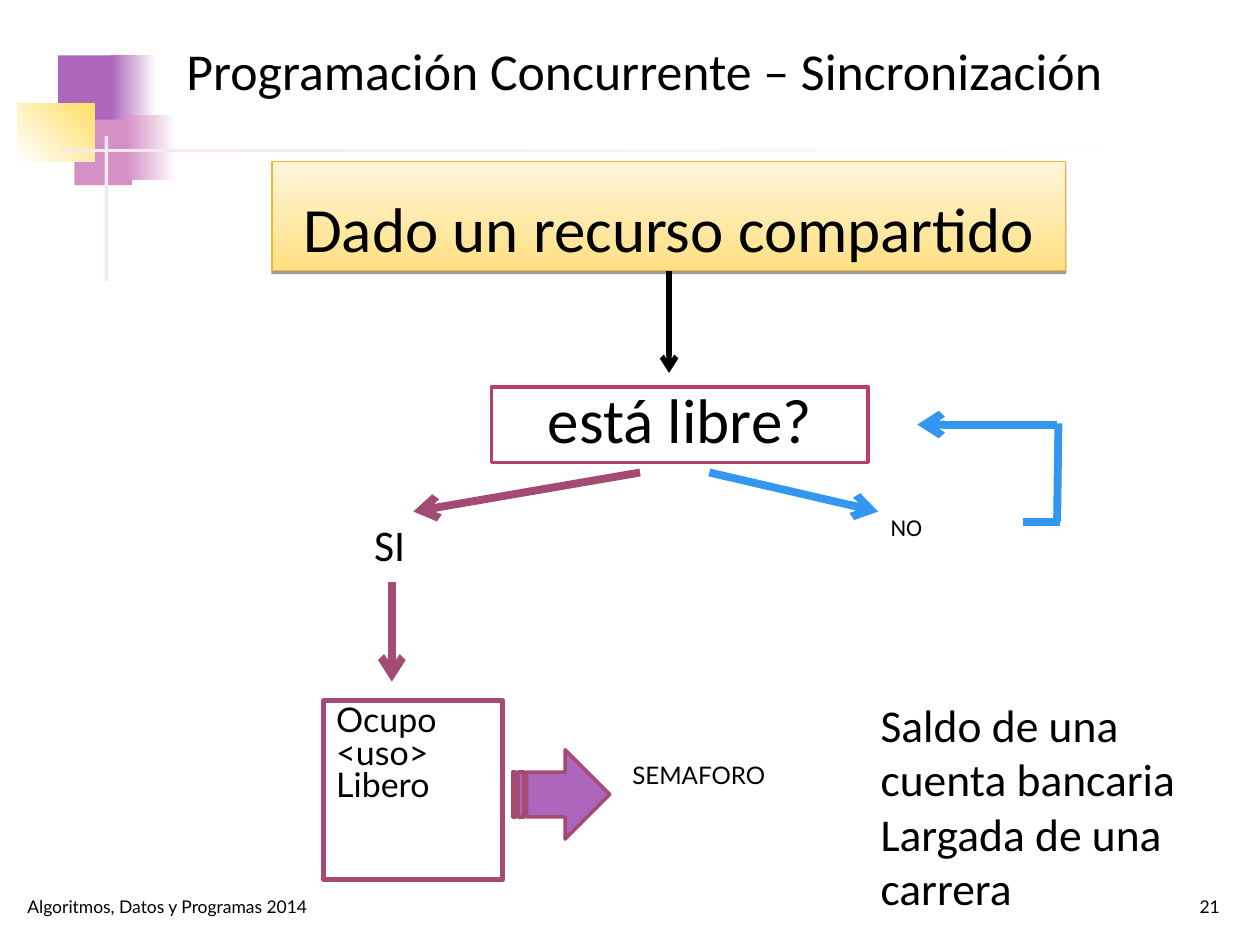
from lxml import etree
from pptx import Presentation
from pptx.dml.color import RGBColor
from pptx.enum.shapes import MSO_CONNECTOR, MSO_SHAPE
from pptx.enum.text import MSO_ANCHOR, PP_ALIGN
from pptx.oxml.ns import qn
from pptx.util import Pt

PX = 9144  # 100 px to the inch

RECTANGLE = MSO_SHAPE.RECTANGLE
STRIPED_ARROW = MSO_SHAPE.STRIPED_RIGHT_ARROW
STRAIGHT = MSO_CONNECTOR.STRAIGHT
TOP, BOTTOM = MSO_ANCHOR.TOP, MSO_ANCHOR.BOTTOM
LEFT, CENTER, RIGHT = PP_ALIGN.LEFT, PP_ALIGN.CENTER, PP_ALIGN.RIGHT

BLACK = RGBColor(0x00, 0x00, 0x00)
WHITE = RGBColor(0xFF, 0xFF, 0xFF)
PURPLE = RGBColor(0xAC, 0x66, 0xBB)
PINK = RGBColor(0xD4, 0x90, 0xC5)
YELLOW = RGBColor(0xFF, 0xDE, 0x66)
PALE_PINK = RGBColor(0xF4, 0xE7, 0xED)
PLUM = RGBColor(0xA3, 0x4B, 0x73)
CRIMSON = RGBColor(0xB8, 0x3D, 0x68)
BLUE = RGBColor(0x33, 0x97, 0xF1)
GOLD = RGBColor(0xFF, 0xE0, 0x82)
CREAM = RGBColor(0xFF, 0xF5, 0xDA)
ORANGE = RGBColor(0xF8, 0xB3, 0x33)

prs = Presentation()
prs.slide_width, prs.slide_height = 1000 * PX, 750 * PX
slide = prs.slides.add_slide(prs.slide_layouts[5])
shapes = slide.shapes


def add_block(box, fill=None, line=None, width=1, angle=0, kind=RECTANGLE):
    """Add a preset shape; a pair of colours as fill makes a gradient."""
    block = shapes.add_shape(kind, *(n * PX for n in box))
    block.shadow.inherit = False
    if fill is None:
        block.fill.background()
    elif isinstance(fill, RGBColor):
        block.fill.solid()
        block.fill.fore_color.rgb = fill
    else:
        block.fill.gradient()
        block.fill.gradient_angle = angle
        for stop, color in zip(block.fill.gradient_stops, fill):
            stop.color.rgb = color
    if line is None:
        block.line.fill.background()
    else:
        block.line.color.rgb = line
        block.line.width = Pt(width)
    return block


def write(holder, text, size, font="Calibri", align=LEFT, anchor=TOP, spacing=1.0):
    frame = holder.text_frame
    frame.word_wrap = True
    frame.vertical_anchor = anchor
    frame.margin_left = frame.margin_right = 10 * PX
    frame.margin_top = frame.margin_bottom = 5 * PX
    frame.text = text
    for paragraph in frame.paragraphs:
        paragraph.alignment = align
        paragraph.line_spacing = spacing
        paragraph.font.size = Pt(size)
        paragraph.font.name = font
        paragraph.font.color.rgb = BLACK


# Corner decoration
for box, fill, angle in [
    ((46, 44, 48, 52), PURPLE, 0),
    ((88, 44, 36, 52), (PURPLE, WHITE), 0),
    ((59, 95, 46, 52), PINK, 0),
    ((100, 91, 40, 52), (PINK, WHITE), 0),
    ((14, 82, 61, 46), (WHITE, YELLOW), 45),
    ((83, 108, 3, 115), PALE_PINK, 0),
    ((48, 118, 900, 3), (PALE_PINK, WHITE), 0),
]:
    add_block(box, fill, angle=angle)

# Title, raised one line above the bottom of its box
title = shapes.title
title.left, title.top, title.width, title.height = (n * PX for n in (138, 16, 862, 115))
write(title, "Programación Concurrente – Sincronización", 29.6, anchor=BOTTOM, spacing=0.9)
title.text_frame.margin_bottom = 50 * PX

# Flow steps
resource = add_block((216, 128, 630, 87), (GOLD, CREAM), ORANGE, 0.75, angle=90)
write(resource, "Dado un recurso compartido", 36, align=CENTER, anchor=BOTTOM)
effects = resource._element.spPr.find(qn("a:effectLst"))
shadow = etree.SubElement(effects, qn("a:outerShdw"), dist=str(Pt(1.6)), dir="5400000", rotWithShape="0")
shadow_color = etree.SubElement(shadow, qn("a:srgbClr"), val="000000")
etree.SubElement(shadow_color, qn("a:alpha"), val="38000")

question = add_block((390, 307, 299, 60), WHITE, CRIMSON, 2)
write(question, "está libre?", 36, align=CENTER, anchor=BOTTOM)

usage = add_block((257, 556, 142, 142), line=PLUM, width=3)
write(usage, "Ocupo\n<uso>\nLibero", 19.4, font="Lato", spacing=0.8)

add_block((407, 595, 77, 71), PURPLE, PLUM, 2, kind=STRIPED_ARROW)

# Labels, example and footer
for box, text, size, style in [
    ((697, 406, 81, 60), "NO", 13.8, {"spacing": 0.8}),
    ((287, 406, 81, 60), "SI", 25, {}),
    ((492, 603, 197, 63), "SEMAFORO", 13.8, {"font": "Lato", "spacing": 0.8}),
    ((689, 548, 311, 184), "Saldo de una cuenta bancaria\nLargada de una carrera", 26, {}),
    ((12, 683, 354, 50), "Algoritmos, Datos y Programas 2014", 10, {"font": "Lato", "anchor": BOTTOM}),
    ((770, 683, 208, 50), "21", 10, {"font": "Lato", "anchor": BOTTOM, "align": RIGHT}),
]:
    write(shapes.add_textbox(*(n * PX for n in box)), text, size, **style)

# Connectors: start and end points, colour, width, arrowhead, step they leave from
for ends, color, width, arrow, source in [
    ((531, 215, 531, 296), BLACK, 3, True, resource),
    ((508, 375, 328, 406), PLUM, 4.5, True, None),
    ((563, 375, 697, 406), BLUE, 4.5, True, None),
    ((311, 462, 311, 541), PLUM, 4.5, True, None),
    ((841, 414, 812, 414), BLUE, 4.5, False, None),
    ((840, 336, 839, 414), BLUE, 4.5, False, None),
    ((839, 337, 728, 337), BLUE, 4.5, True, None),
]:
    link = shapes.add_connector(STRAIGHT, *(n * PX for n in ends))
    link.line.color.rgb = color
    link.line.width = Pt(width)
    if arrow:
        etree.SubElement(link.line._get_or_add_ln(), qn("a:tailEnd"), type="arrow")
    etree.SubElement(link._element.spPr, qn("a:effectLst"))
    if source is not None:
        link.begin_connect(source, 2)

prs.save("out.pptx")
